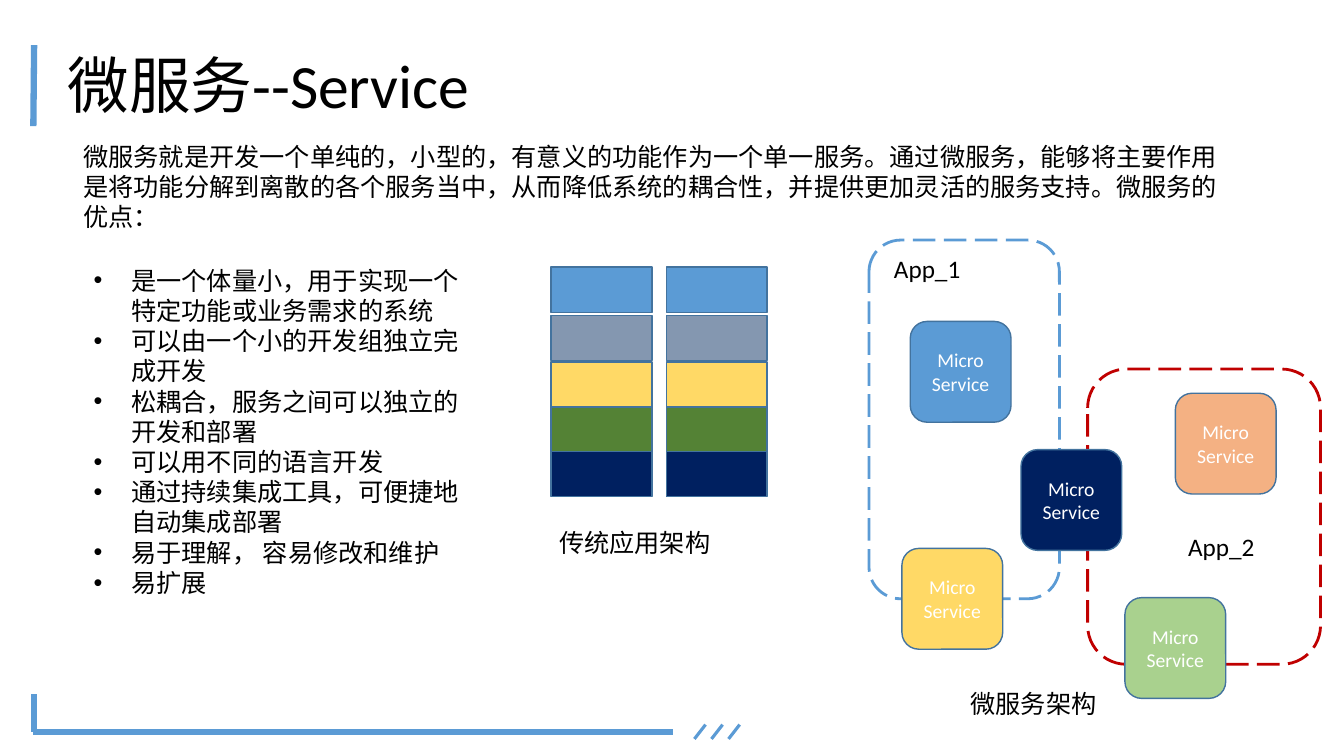
from dataclasses import dataclass

from lxml import etree
from pptx import Presentation
from pptx.dml.color import RGBColor
from pptx.enum.dml import MSO_LINE
from pptx.enum.shapes import MSO_CONNECTOR, MSO_SHAPE
from pptx.enum.text import MSO_ANCHOR, MSO_AUTO_SIZE, PP_ALIGN
from pptx.oxml.ns import qn
from pptx.util import Cm, Pt


@dataclass(frozen=True)
class Theme:
    """Colours, fonts and type sizes of the slide."""
    text: str = "000000"
    white: str = "FFFFFF"
    blue: str = "5B9BD5"
    outline: str = "43739E"
    red: str = "C00000"
    slate: str = "8497B0"
    yellow: str = "FFD966"
    dark_green: str = "548235"
    navy: str = "002060"
    orange: str = "F4B183"
    light_green: str = "A9D18E"
    main_font: str = "Calibri"
    intro_font: str = "Roboto"
    list_font: str = "Open Sans"
    title_size: int = 44
    body_size: int = 18
    box_size: int = 14


class SlideBuilder:
    """Draws styled elements on one slide; lengths are centimetres."""

    def __init__(self, slide, theme):
        """Keep the slide and its theme."""
        self.shapes = slide.shapes
        self.theme = theme

    def run(self, paragraph, text, size, font=None, color=None):
        """Add one styled run to a paragraph."""
        run = paragraph.add_run()
        run.text = text
        run.font.size = Pt(size)
        run.font.name = font or self.theme.main_font
        run.font.color.rgb = RGBColor.from_string(color or self.theme.text)

    def frame(self, left, top, width, height, wrap=True):
        """Add a text box that grows with its text and return its frame."""
        box = self.shapes.add_textbox(Cm(left), Cm(top), Cm(width), Cm(height))
        box.text_frame.word_wrap = wrap
        box.text_frame.auto_size = MSO_AUTO_SIZE.SHAPE_TO_FIT_TEXT
        return box.text_frame

    def title(self, text, *place):
        """Add the slide title."""
        frame = self.frame(*place)
        frame.auto_size = MSO_AUTO_SIZE.NONE
        frame.vertical_anchor = MSO_ANCHOR.MIDDLE
        frame.paragraphs[0].line_spacing = 0.9
        self.run(frame.paragraphs[0], text, self.theme.title_size)

    def paragraph(self, parts, *place):
        """Add one paragraph made of (text, font) parts."""
        paragraph = self.frame(*place).paragraphs[0]
        for text, font in parts:
            self.run(paragraph, text, self.theme.body_size, font)

    def label(self, text, left, top, width):
        """Add a single-line label."""
        frame = self.frame(left, top, width, 1.02, wrap=False)
        self.run(frame.paragraphs[0], text, self.theme.body_size)

    def bullets(self, items, *place):
        """Add a bulleted list with a hanging indent."""
        frame = self.frame(*place)
        for index, item in enumerate(items):
            paragraph = frame.add_paragraph() if index else frame.paragraphs[0]
            paragraph.level = 1
            self.run(paragraph, item, self.theme.body_size, self.theme.list_font)
            props = paragraph._p.get_or_add_pPr()
            props.set("marL", str(Cm(2.22)))
            props.set("indent", str(Cm(-0.95)))
            etree.SubElement(props, qn("a:buFont")).set("typeface", "Arial")
            etree.SubElement(props, qn("a:buChar")).set("char", "•")

    def box(self, kind, left, top, width, height, fill, line=None, weight=1):
        """Add a filled and outlined preset shape."""
        shape = self.shapes.add_shape(kind, Cm(left), Cm(top), Cm(width), Cm(height))
        shape.shadow.inherit = False
        shape.fill.solid()
        shape.fill.fore_color.rgb = RGBColor.from_string(fill)
        shape.line.color.rgb = RGBColor.from_string(line or self.theme.outline)
        shape.line.width = Pt(weight)
        return shape

    def app_area(self, color, *place):
        """Add the dashed boundary of an application."""
        area = self.box(MSO_SHAPE.ROUNDED_RECTANGLE, *place, self.theme.white, color, 2)
        area.line.dash_style = MSO_LINE.LONG_DASH

    def micro_service(self, left, top, fill):
        """Add one square micro service with its caption."""
        shape = self.box(MSO_SHAPE.ROUNDED_RECTANGLE, left, top, 2.54, 2.54, fill)
        frame = shape.text_frame
        frame.word_wrap = True
        frame.vertical_anchor = MSO_ANCHOR.MIDDLE
        frame.paragraphs[0].alignment = PP_ALIGN.CENTER
        self.run(frame.paragraphs[0], "Micro Service", self.theme.box_size,
                 color=self.theme.white)

    def line(self, x1, y1, x2, y2, weight=4.5):
        """Add a straight decorative line."""
        line = self.shapes.add_connector(
            MSO_CONNECTOR.STRAIGHT, Cm(x1), Cm(y1), Cm(x2), Cm(y2))
        line.line.color.rgb = RGBColor.from_string(self.theme.blue)
        line.line.width = Pt(weight)
        etree.SubElement(line._element.spPr, qn("a:effectLst"))


def decorate(page):
    """Draw the title bar, the corner and the three slashes."""
    page.line(0.86, 1.14, 0.84, 3.18)
    page.line(0.86, 17.5, 0.86, 18.44)
    page.line(0.84, 18.44, 16.97, 18.44)
    for index in range(3):
        left = 17.5 + 0.43 * index
        page.line(left, 18.62, left + 0.28, 18.26, 2.25)


def draw_traditional(page):
    """Draw the two layered stacks of the traditional architecture."""
    theme = page.theme
    layers = [(6.73, theme.blue), (7.95, theme.slate), (9.12, theme.yellow),
              (10.26, theme.dark_green), (11.38, theme.navy)]
    for left in (13.89, 16.79):
        for top, color in layers:
            page.box(MSO_SHAPE.RECTANGLE, left, top, 2.54, 1.14, color)
    page.label("传统应用架构", 13.84, 13.16, 4.37)


def draw_micro_services(page):
    """Draw the services shared by the two applications."""
    theme = page.theme
    for left, top, color in [(22.94, 8.1, theme.blue), (29.62, 9.91, theme.orange),
                             (22.73, 13.82, theme.yellow),
                             (28.35, 15.06, theme.light_green),
                             (25.73, 11.33, theme.navy)]:
        page.micro_service(left, top, color)
    page.label("App_1", 22.28, 6.27, 2.21)
    page.label("App_2", 29.69, 13.26, 2.21)
    page.label("微服务架构", 24.21, 17.22, 3.71)


def main():
    """Build and save the presentation."""
    deck = Presentation()
    deck.slide_width, deck.slide_height = Cm(33.87), Cm(19.05)
    theme = Theme()
    page = SlideBuilder(deck.slides.add_slide(deck.slide_layouts[6]), theme)

    page.app_area(theme.red, 27.41, 9.3, 5.87, 7.44)
    page.app_area(theme.blue, 21.9, 6.05, 4.8, 9.04)
    page.title("微服务--Service", 1.45, 1.09, 29.21, 2.29)
    decorate(page)
    page.paragraph([
        ("微服务就是开发一个单纯的，小型的，有意义的功能作为一个单一服务。"
         "通过微服务，能够将", theme.intro_font),
        ("主要作用是将功能分解到离散的各个服务当中，从而降低系统的耦合性，"
         "并提供更加灵活的服务支持", theme.main_font),
        ("。微服务的优点：", theme.intro_font),
    ], 1.85, 3.43, 29.41, 2.57)
    page.bullets([
        "是一个体量小，用于实现一个特定功能或业务需求的系统",
        "可以由一个小的开发组独立完成开发",
        "松耦合，服务之间可以独立的开发和部署",
        "可以用不同的语言开发",
        "通过持续集成工具，可便捷地自动集成部署",
        "易于理解， 容易修改和维护",
        "易扩展",
    ], 0.84, 6.55, 11.35, 8.71)
    draw_traditional(page)
    draw_micro_services(page)
    deck.save("out.pptx")


main()
